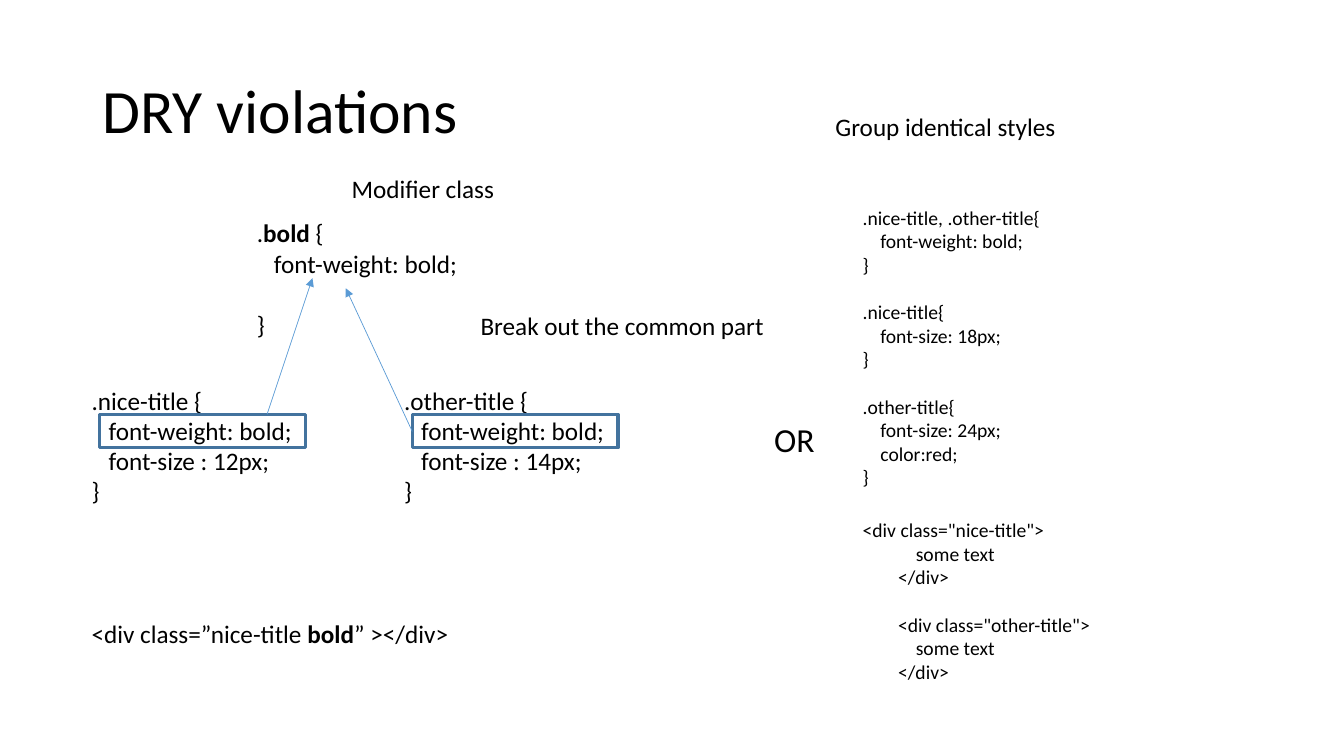
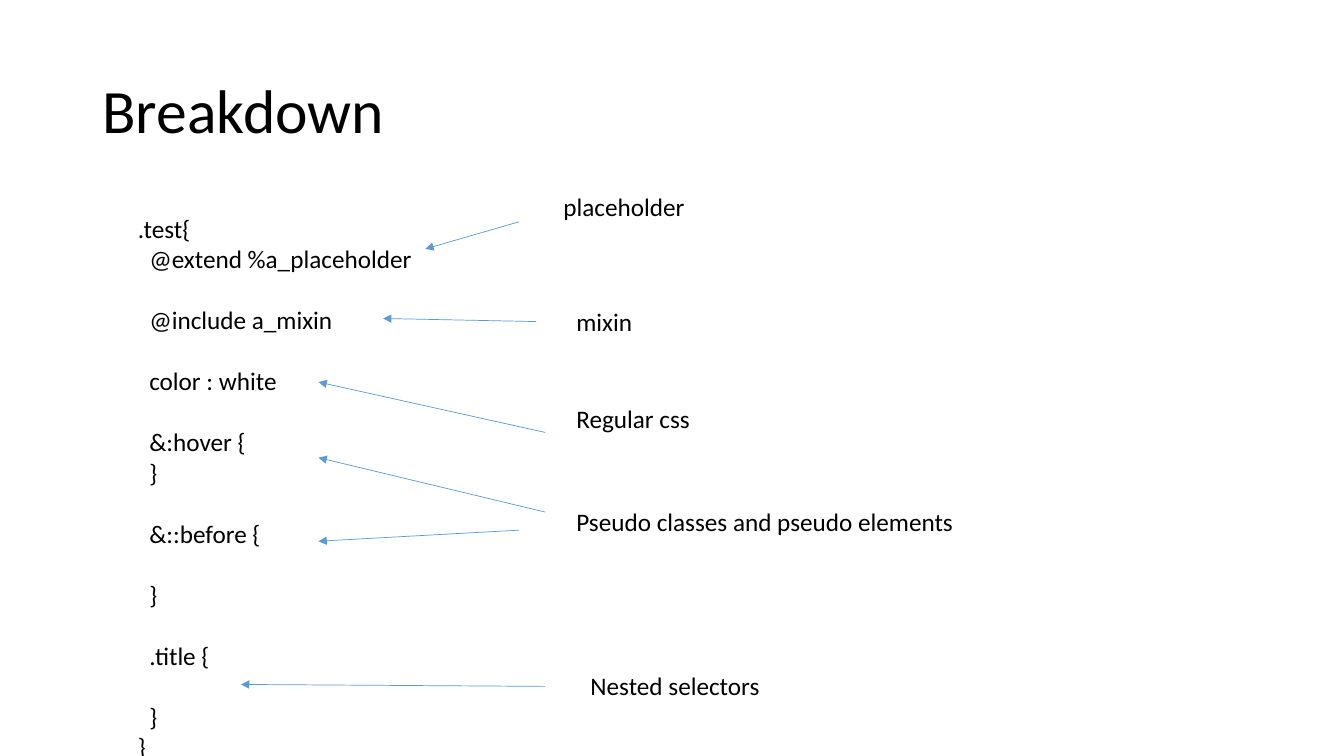
import dataclasses

import lxml.etree
import pptx
import pptx.dml.color
import pptx.enum.shapes
import pptx.enum.text
import pptx.oxml.ns
import pptx.util

Pt = pptx.util.Pt


@dataclasses.dataclass(frozen=True)
class Theme:
    font: str = "Calibri"
    text: str = "000000"
    arrow: str = "5B9BD5"
    frame: str = "43739E"
    title_size: float = 44
    body_size: float = 18
    small_size: float = 14
    large_size: float = 24
    line_height: float = 1.22
    space_width: float = 0.226
    inset: float = 3.6


THEME = Theme()
TITLE_ONLY_LAYOUT = 5

MODIFIER_RULE = """.**bold** {
   font-weight: bold;

}"""

TITLE_RULE = """.{name} {{
   font-weight: bold;
   font-size : {size}px;
}}"""

GROUPED_RULES = """.nice-title, .other-title{
    font-weight: bold;
}

.nice-title{
    font-size: 18px;
}

.other-title{
    font-size: 24px;
    color:red;
}"""

GROUPED_MARKUP = """<div class="nice-title">
            some text
        </div>

        <div class="other-title">
            some text
        </div>"""

NESTED_RULE = """.test{
  @extend %a_placeholder

  @include a_mixin

  color : white

  &:hover {
  }

  &::before {

  }

  .title {

  }
}"""


def color(value):
    return pptx.dml.color.RGBColor.from_string(value)


def format_font(font, size, bold=False):
    font.name = THEME.font
    font.size = Pt(size)
    font.bold = bold
    font.color.rgb = color(THEME.text)


def add_text(slide, text, left, top, width, size=THEME.body_size):
    lines = text.split("\n")
    line_height = size * THEME.line_height
    height = len(lines) * line_height + 2 * THEME.inset
    shape = slide.shapes.add_textbox(Pt(left), Pt(top), Pt(width), Pt(height))
    frame = shape.text_frame
    frame.word_wrap = True
    paragraph = frame.paragraphs[0]
    gap = 0
    for index, line in enumerate(lines):
        content = line.lstrip()
        if not content:
            gap += line_height
            continue
        if index:
            paragraph = frame.add_paragraph()
        paragraph.space_before = Pt(gap)
        gap = 0
        indent = (len(line) - len(content)) * size * THEME.space_width
        properties = paragraph._p.get_or_add_pPr()
        properties.set("marL", str(Pt(indent)))
        properties.set("indent", "0")
        for part, words in enumerate(content.split("**")):
            run = paragraph.add_run()
            run.text = words
            format_font(run.font, size, bold=part % 2 == 1)
    return shape


def add_frame(slide, left, top, width, height):
    shape = slide.shapes.add_shape(
        pptx.enum.shapes.MSO_SHAPE.RECTANGLE, Pt(left), Pt(top), Pt(width), Pt(height))
    shape.shadow.inherit = False
    shape.fill.background()
    shape.line.color.rgb = color(THEME.frame)
    shape.line.width = Pt(2.25)


def add_arrow(slide, start, end):
    connector = slide.shapes.add_connector(
        pptx.enum.shapes.MSO_CONNECTOR.STRAIGHT, *map(Pt, start + end))
    connector.line.color.rgb = color(THEME.arrow)
    connector.line.width = Pt(0.5)
    qualify = pptx.oxml.ns.qn
    tail = lxml.etree.SubElement(connector.line._get_or_add_ln(), qualify("a:tailEnd"))
    tail.set("type", "triangle")
    lxml.etree.SubElement(connector._element.spPr, qualify("a:effectLst"))


def prepare_layout(presentation):
    layout = presentation.slide_layouts[TITLE_ONLY_LAYOUT]
    title = layout.placeholders[0]
    title.left, title.top, title.width, title.height = map(Pt, (66, 28.8, 828, 104.4))
    return layout


def add_titled_slide(presentation, layout, text):
    slide = presentation.slides.add_slide(layout)
    frame = slide.shapes.title.text_frame
    frame.text = text
    frame.vertical_anchor = pptx.enum.text.MSO_ANCHOR.MIDDLE
    frame.auto_size = pptx.enum.text.MSO_AUTO_SIZE.NONE
    paragraph = frame.paragraphs[0]
    paragraph.alignment = pptx.enum.text.PP_ALIGN.LEFT
    paragraph.line_spacing = 0.9
    format_font(paragraph.runs[0].font, THEME.title_size)
    return slide


def build_violations(slide):
    rule_top = 271.4
    for left, name, size in ((58.3, "nice-title", 12), (281.5, "other-title", 14)):
        add_text(slide, TITLE_RULE.format(name=name, size=size), left, rule_top, 165)
        add_frame(slide, left + 13, rule_top + 24.5, 147, 24)
    add_text(slide, MODIFIER_RULE, 176.4, 151.9, 165)
    add_arrow(slide, (190.8, 295.9), (223.2, 198.7))
    add_arrow(slide, (294.5, 308.2), (247, 205.9))

    for text, left, top, width in (
        ("Modifier class", 244.1, 120.2, 122),
        ("Break out the common part", 336.2, 218.2, 224),
        ("<div class=”nice-title **bold**” ></div>", 58.3, 437.8, 276),
        ("Group identical styles", 589.7, 75.6, 178),
    ):
        add_text(slide, text, left, top, width)
    add_text(slide, "OR", 545.8, 295.9, 48, size=THEME.large_size)

    for code, top in ((GROUPED_RULES, 143.3), (GROUPED_MARKUP, 366.5)):
        add_text(slide, code, 609.1, top, 350, size=THEME.small_size)


def build_breakdown(slide):
    add_text(slide, NESTED_RULE, 91.4, 149, 217)
    for text, left, top, width, arrows in (
        ("placeholder", 395.3, 133.2, 106, [((370.8, 158.4), (303.8, 177.8))]),
        ("mixin", 404.6, 215.3, 59, [((383, 229.7), (273.6, 227.5))]),
        ("Regular css", 404.6, 284.4, 101, [((389.5, 308.9), (227.5, 272.9))]),
        ("Pseudo classes and pseudo elements", 404.6, 357.8, 292,
         [((389.5, 365.8), (227.5, 326.9)), ((370.8, 378.7), (227.5, 386.6))]),
        ("Nested selectors", 414.7, 475.2, 141, [((389.5, 490.3), (172.1, 488.9))]),
    ):
        add_text(slide, text, left, top, width)
        for start, end in arrows:
            add_arrow(slide, start, end)


def main():
    presentation = pptx.Presentation()
    presentation.slide_width, presentation.slide_height = Pt(960), Pt(540)
    layout = prepare_layout(presentation)
    build_violations(add_titled_slide(presentation, layout, "DRY violations"))
    build_breakdown(add_titled_slide(presentation, layout, "Breakdown"))
    presentation.save("out.pptx")


if __name__ == "__main__":
    main()
